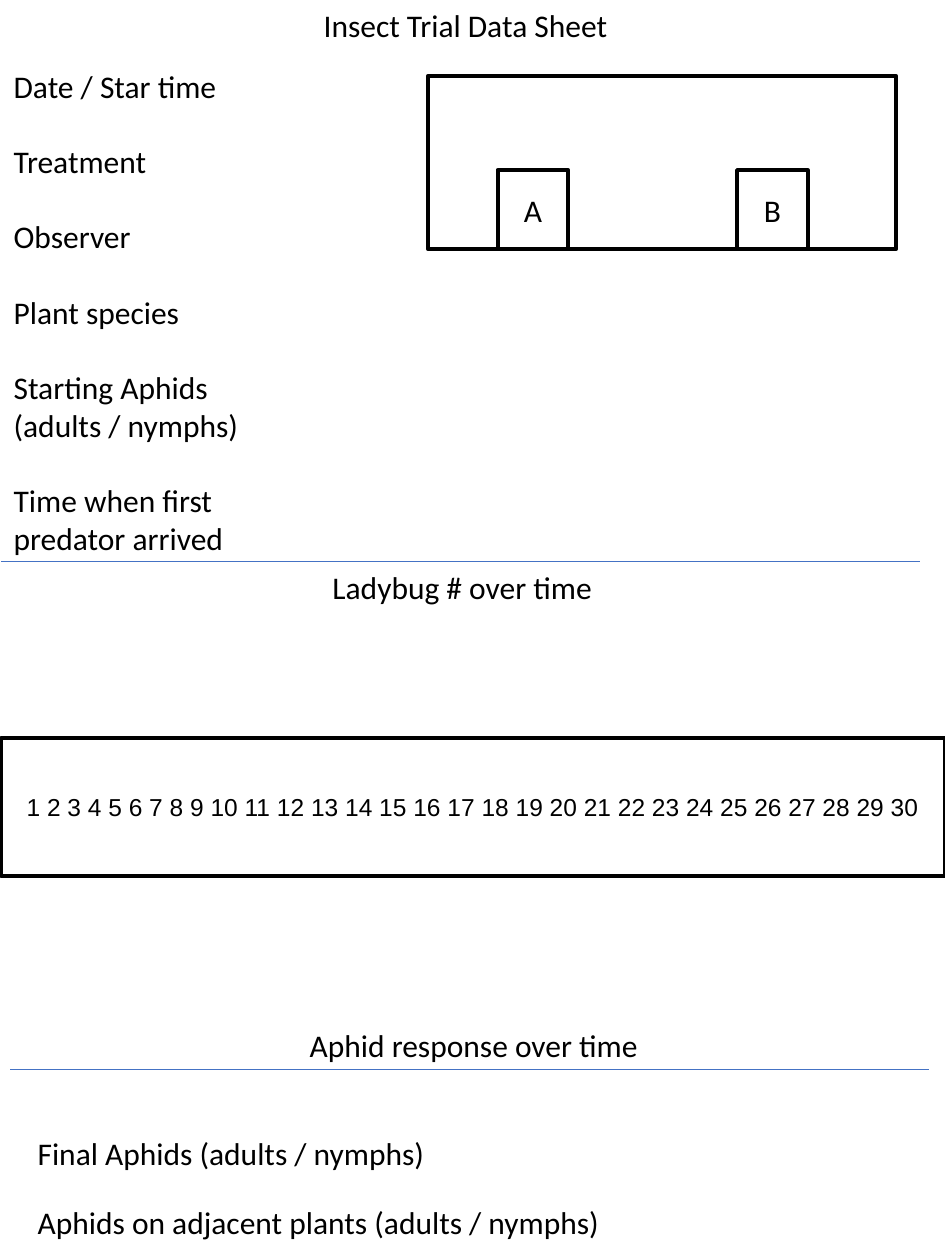
from lxml import etree
from pptx import Presentation
from pptx import util as u
from pptx.dml.color import RGBColor
from pptx.enum import shapes, text
from pptx.oxml.ns import qn

BLACK = "000000"
BLUE = "4472C4"
FIELDS = [
    "Date / Star time",
    "Treatment",
    "Observer",
    "Plant species",
    "Starting Aphids (adults / nymphs)",
    "Time when first predator arrived",
]


def color(hex_string):
    return RGBColor.from_string(hex_string)


def add_run(paragraph, wording, size=18, font="Calibri"):
    run = paragraph.add_run()
    run.text = wording
    run.font.size = u.Pt(size)
    run.font.name = font
    run.font.color.rgb = color(BLACK)


def add_text(slide, lines, left, top, width, height=0.4, wrap=False):
    box = slide.shapes.add_textbox(*map(u.Inches, (left, top, width, height)))
    frame = box.text_frame
    frame.word_wrap = wrap
    frame.auto_size = text.MSO_AUTO_SIZE.SHAPE_TO_FIT_TEXT
    for index, line in enumerate(lines):
        paragraph = frame.add_paragraph() if index else frame.paragraphs[0]
        if index:
            paragraph.space_before = u.Pt(21.5)
        add_run(paragraph, line)


def add_box(slide, left, top, width, height, label="", size=18, font="Calibri"):
    shape = slide.shapes.add_shape(
        shapes.MSO_SHAPE.RECTANGLE, *map(u.Inches, (left, top, width, height))
    )
    shape.shadow.inherit = False
    shape.fill.background()
    shape.line.color.rgb = color(BLACK)
    shape.line.width = u.Pt(2.25)
    if label:
        frame = shape.text_frame
        frame.vertical_anchor = text.MSO_ANCHOR.MIDDLE
        paragraph = frame.paragraphs[0]
        paragraph.alignment = text.PP_ALIGN.CENTER
        add_run(paragraph, label, size, font)


def add_divider(slide, left, top, width=7.29):
    line = slide.shapes.add_connector(
        shapes.MSO_CONNECTOR.STRAIGHT,
        *map(u.Inches, (left + width, top, left, top)),
    )
    line.line.color.rgb = color(BLUE)
    line.line.width = u.Pt(0.5)
    etree.SubElement(line._element.spPr, qn("a:effectLst"))


def main():
    presentation = Presentation()
    presentation.slide_width = u.Inches(7.5)
    presentation.slide_height = u.Inches(10)
    slide = presentation.slides.add_slide(presentation.slide_layouts[6])

    add_box(slide, 3.4, 0.6, 3.71, 1.38)
    for label, left in (("A", 3.95), ("B", 5.85)):
        add_box(slide, left, 1.35, 0.56, 0.63, label)
    add_text(slide, FIELDS, 0.01, 0.48, 2.02, 4.04, wrap=True)
    add_text(slide, ["Insect Trial Data Sheet"], 2.47, 0, 2.51, wrap=True)

    minutes = " ".join(str(minute) for minute in range(1, 31))
    add_box(slide, 0.01, 5.86, 7.49, 1.09, minutes, 14, "Arial")

    for wording, left, top, width in (
        ("Ladybug # over time", 2.54, 4.46, 2.29),
        ("Aphid response over time", 2.36, 8.09, 2.9),
        ("Final Aphids (adults / nymphs)", 0.2, 8.95, 3.31),
        ("Aphids on adjacent plants (adults / nymphs)", 0.2, 9.5, 4.71),
    ):
        add_text(slide, [wording], left, top, width)

    add_divider(slide, 0.01, 4.46)
    add_divider(slide, 0.08, 8.49)
    presentation.save("out.pptx")


if __name__ == "__main__":
    main()
